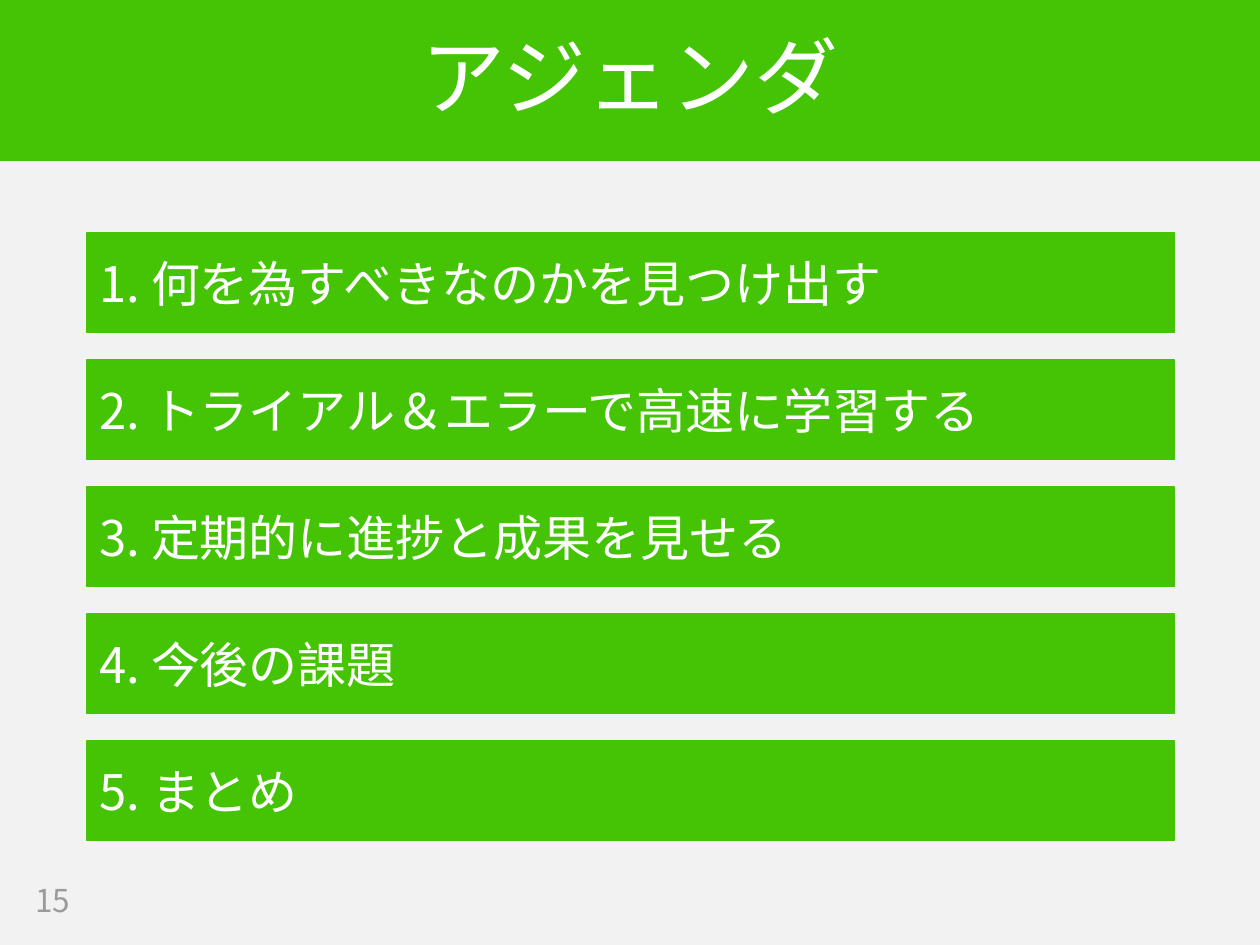
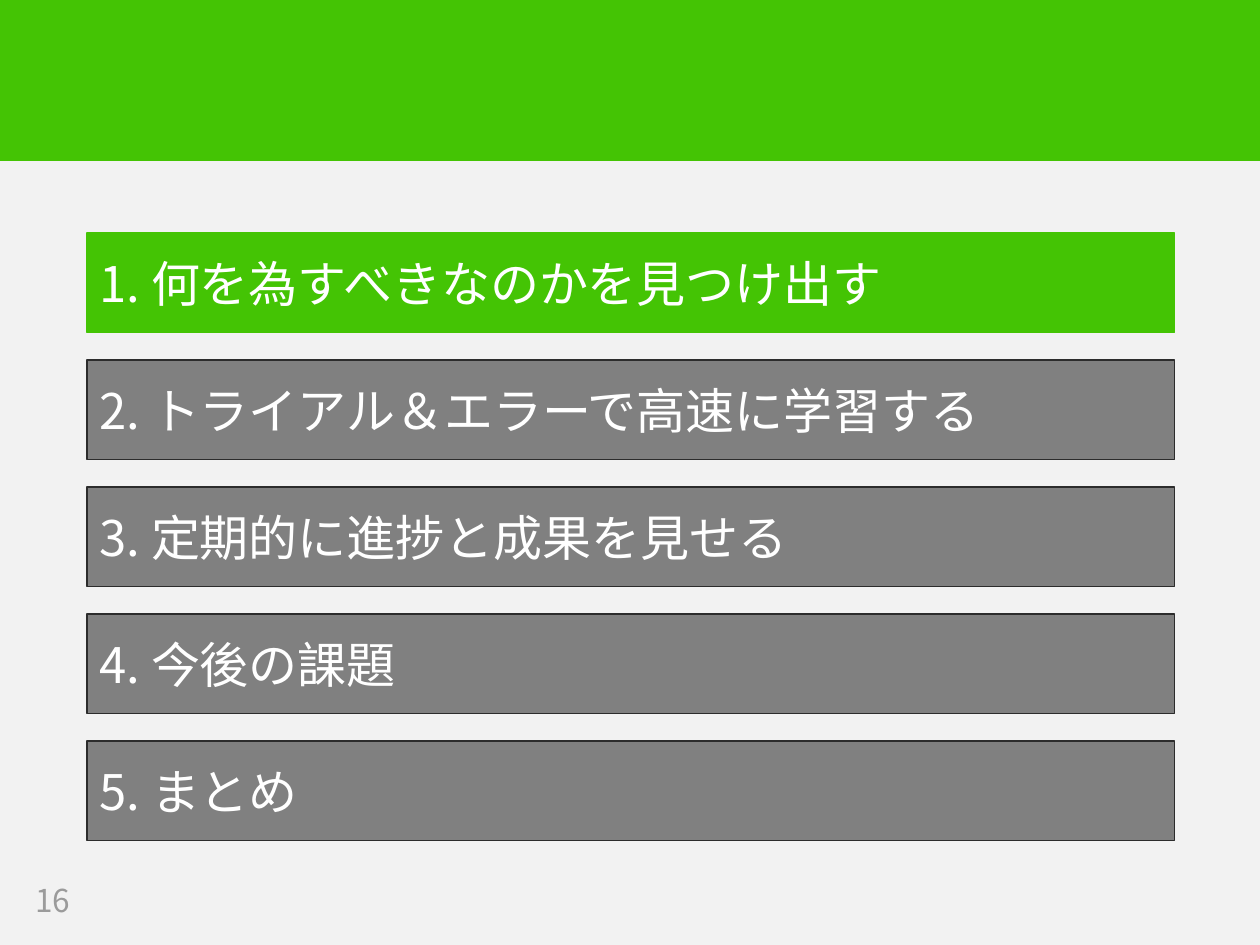
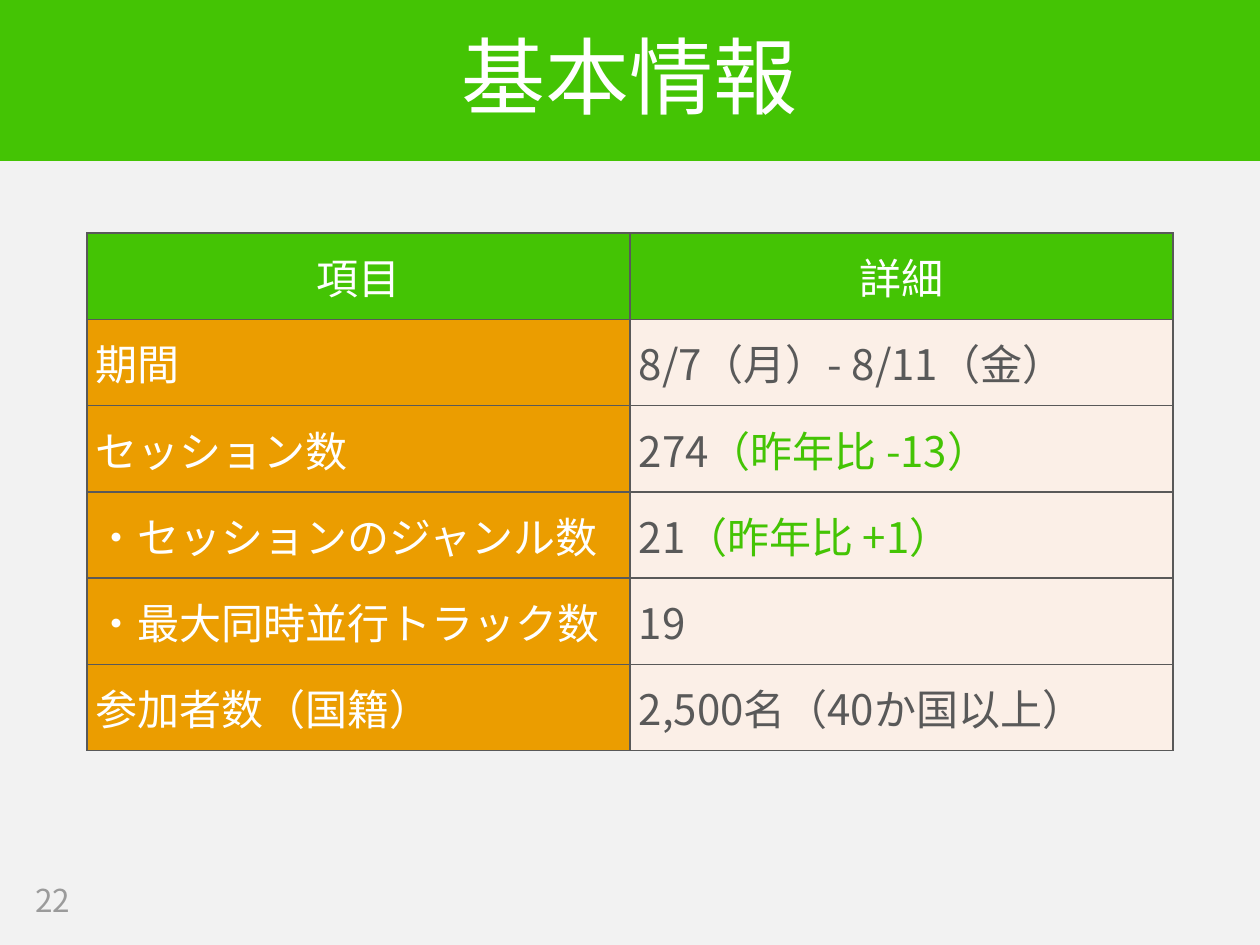
"""Build three slides: an agenda, the agenda with its first item active, and a table of basic facts."""
import pptx
import pptx.util
import pptx.dml.color
import pptx.enum.shapes
import pptx.enum.text
import pptx.oxml
import pptx.oxml.ns

Inches = pptx.util.Inches
Pt = pptx.util.Pt
RGBColor = pptx.dml.color.RGBColor
Align = pptx.enum.text.PP_ALIGN
Anchor = pptx.enum.text.MSO_ANCHOR

AGENDA = [
    "何を為すべきなのかを見つけ出す",
    "トライアル＆エラーで高速に学習する",
    "定期的に進捗と成果を見せる",
    "今後の課題",
    "まとめ",
]
HEADINGS = ["項目", "詳細"]
FACTS = [
    ("期間", "8/7（月）- 8/11（金）", ""),
    ("セッション数", "274", "（昨年比 -13）"),
    ("・セッションのジャンル数", "21", "（昨年比 +1）"),
    ("・最大同時並行トラック数", "19", ""),
    ("参加者数（国籍）", "2,500名（40か国以上）", ""),
]

FONT = "Noto Sans CJK JP"
GREEN = RGBColor(0x44, 0xC4, 0x04)
WHITE = RGBColor(0xFF, 0xFF, 0xFF)
BACKGROUND = RGBColor(0xF2, 0xF2, 0xF2)
INACTIVE = RGBColor(0x80, 0x80, 0x80)
INACTIVE_LINE = RGBColor(0x2C, 0x2C, 0x2C)
PAGE_NUMBER = RGBColor(0x9B, 0x9B, 0x9B)
ORANGE = RGBColor(0xEB, 0x9D, 0x00)
CREAM = RGBColor(0xFB, 0xEF, 0xE7)
DARK = RGBColor(0x59, 0x59, 0x59)

CONTENT_LEFT, CONTENT_TOP, CONTENT_WIDTH = 0.69, 1.85, 8.63
BAR_HEIGHT, BAR_PITCH = 0.79, 1.008
COLUMN_WIDTH, ROW_HEIGHT = 4.31, 0.685


def add_span(para, text, size, color):
    span = para.add_run()
    span.text = text
    span.font.size = Pt(size)
    span.font.name = FONT
    span.font.bold = False
    span.font.color.rgb = color
    east_asian = pptx.oxml.parse_xml(
        f'<a:ea {pptx.oxml.ns.nsdecls("a")} typeface="{FONT}"/>')
    span.font._element.find(pptx.oxml.ns.qn("a:latin")).addnext(east_asian)


def add_text(slide, place, text, size, color, align=Align.LEFT, spacing=1.0):
    box = slide.shapes.add_textbox(*map(Inches, place))
    box.text_frame.word_wrap = True
    box.text_frame.vertical_anchor = Anchor.MIDDLE
    para = box.text_frame.paragraphs[0]
    para.alignment = align
    para.line_spacing = spacing
    add_span(para, text, size, color)


def add_rectangle(slide, place, fill, line, line_width):
    box = slide.shapes.add_shape(
        pptx.enum.shapes.MSO_SHAPE.RECTANGLE, *map(Inches, place))
    box.shadow.inherit = False
    box.fill.solid()
    box.fill.fore_color.rgb = fill
    box.line.color.rgb = line
    box.line.width = Pt(line_width)
    return box


def add_page(deck, number, title=""):
    slide = deck.slides.add_slide(deck.slide_layouts[6])
    add_rectangle(slide, (0, -0.01, 10, 1.28), GREEN, GREEN, 1)
    if title:
        add_text(slide, (0, 0.36, 10, 0.57), title, 48, WHITE, Align.CENTER, 0.9)
    add_text(slide, (0.18, 6.95, 0.79, 0.39), str(number), 18, PAGE_NUMBER)
    return slide


def add_agenda(slide, active):
    for index, item in enumerate(AGENDA):
        number = index + 1
        fill, line = (GREEN, GREEN) if number in active else (INACTIVE, INACTIVE_LINE)
        top = CONTENT_TOP + index * BAR_PITCH
        bar = add_rectangle(
            slide, (CONTENT_LEFT, top, CONTENT_WIDTH, BAR_HEIGHT), fill, line, 0.75)
        bar.text_frame.word_wrap = True
        bar.text_frame.vertical_anchor = Anchor.MIDDLE
        para = bar.text_frame.paragraphs[0]
        para.alignment = Align.LEFT
        add_span(para, f"{number}. {item}", 28, WHITE)


def fill_cell(cell, fill, spans, align=Align.LEFT):
    cell.vertical_anchor = Anchor.MIDDLE
    cell.margin_left = cell.margin_right = Inches(0.07)
    cell.margin_top = cell.margin_bottom = Inches(0.05)
    cell.fill.solid()
    cell.fill.fore_color.rgb = fill
    para = cell.text_frame.paragraphs[0]
    para.alignment = align
    for text, color in spans:
        if text:
            add_span(para, text, 24, color)
    properties = cell._tc.get_or_add_tcPr()
    for position, side in enumerate("LRTB"):
        properties.insert(position, pptx.oxml.parse_xml(
            f'<a:ln{side} {pptx.oxml.ns.nsdecls("a")} w="{Pt(1)}"><a:solidFill>'
            f'<a:srgbClr val="{DARK}"/></a:solidFill></a:ln{side}>'))


def add_facts(slide):
    row_count = len(FACTS) + 1
    table = slide.shapes.add_table(
        row_count, 2, Inches(CONTENT_LEFT), Inches(CONTENT_TOP),
        Inches(2 * COLUMN_WIDTH), Inches(row_count * ROW_HEIGHT)).table
    table.first_row = table.horz_banding = False
    for column, heading in enumerate(HEADINGS):
        fill_cell(table.cell(0, column), GREEN, [(heading, WHITE)], Align.CENTER)
    for row, (label, value, change) in enumerate(FACTS, start=1):
        fill_cell(table.cell(row, 0), ORANGE, [(label, WHITE)])
        fill_cell(table.cell(row, 1), CREAM, [(value, DARK), (change, GREEN)])


def main():
    deck = pptx.Presentation()
    deck.slide_width, deck.slide_height = Inches(10), Inches(7.5)
    background = deck.slide_master.background.fill
    background.solid()
    background.fore_color.rgb = BACKGROUND
    add_agenda(add_page(deck, 15, "アジェンダ"), active=range(1, len(AGENDA) + 1))
    add_agenda(add_page(deck, 16), active=[1])
    add_facts(add_page(deck, 22, "基本情報"))
    deck.save("out.pptx")


if __name__ == "__main__":
    main()
